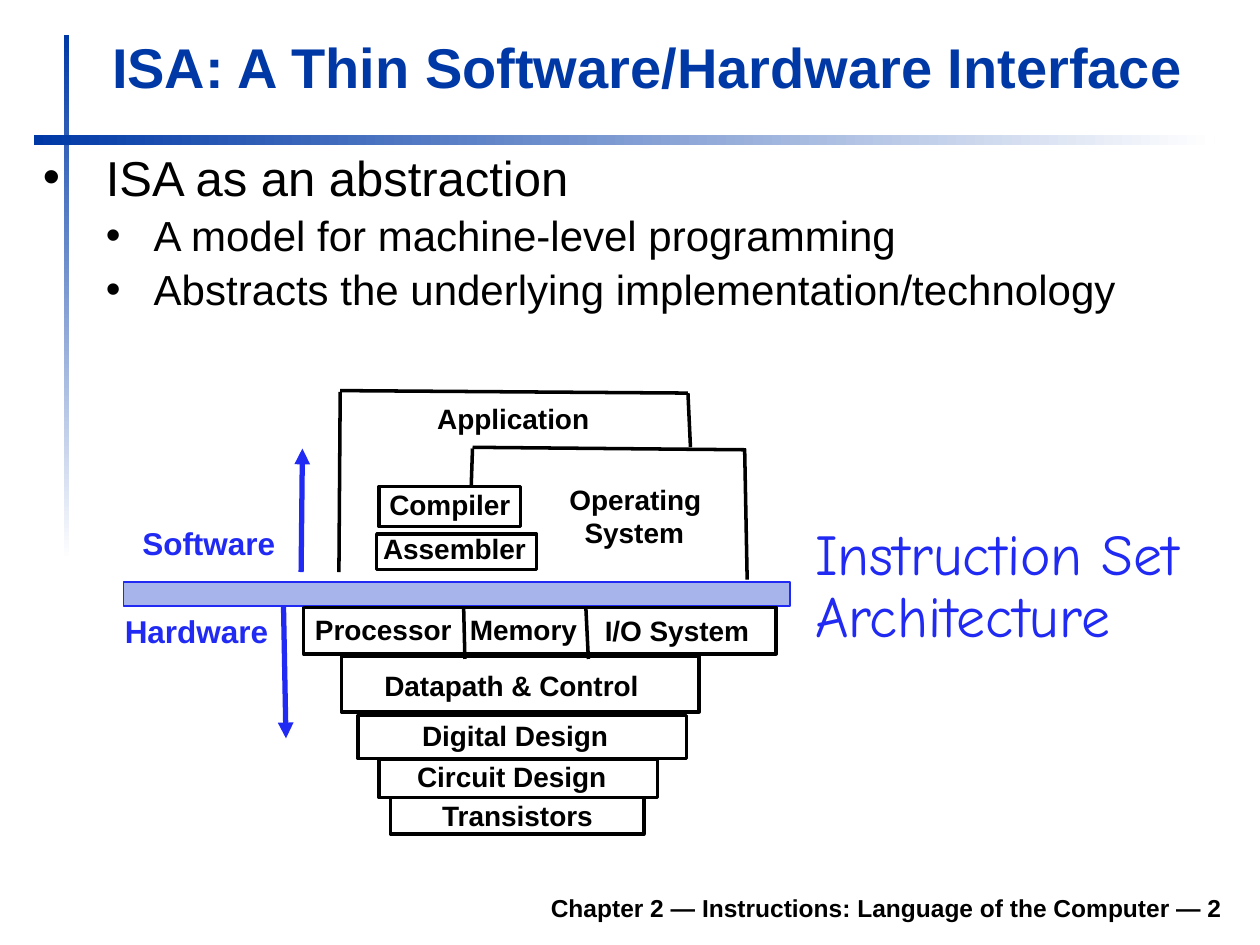
from lxml import etree
from pptx import Presentation
from pptx.dml.color import RGBColor
from pptx.enum.shapes import MSO_CONNECTOR, MSO_SHAPE
from pptx.enum.text import MSO_ANCHOR, MSO_AUTO_SIZE, PP_ALIGN
from pptx.oxml.ns import qn
from pptx.util import Inches, Pt

RECTANGLE = MSO_SHAPE.RECTANGLE
STRAIGHT = MSO_CONNECTOR.STRAIGHT
MIDDLE, TOP, BOTTOM = MSO_ANCHOR.MIDDLE, MSO_ANCHOR.TOP, MSO_ANCHOR.BOTTOM
LEFT, RIGHT = PP_ALIGN.LEFT, PP_ALIGN.RIGHT
NO_AUTOFIT = MSO_AUTO_SIZE.NONE
NAVY, BLUE, PALE_BLUE, BLACK, WHITE = "0039A6", "202AF3", "A7B4EC", "000000", "FFFFFF"


def color(value):
    return RGBColor.from_string(value)


def write_text(shape, text, size=16, font="Arial", fill=BLACK, bold=True, align=LEFT,
               anchor=TOP, wrap=False, margins=(0, 0, 0, 0), spacing=1.0):
    frame = shape.text_frame
    frame.auto_size = NO_AUTOFIT
    frame.word_wrap = wrap
    frame.vertical_anchor = anchor
    frame.margin_left, frame.margin_top, frame.margin_right, frame.margin_bottom = map(Inches, margins)
    frame.text = text
    for paragraph in frame.paragraphs:
        paragraph.alignment = align
        paragraph.line_spacing = spacing
        paragraph.space_before = Pt(0)
        for run in paragraph.runs:
            run.font.name = font
            run.font.size = Pt(size)
            run.font.bold = bold
            run.font.color.rgb = color(fill)


presentation = Presentation()
presentation.slide_width, presentation.slide_height = Inches(10), Inches(7.5)
slide = presentation.slides.add_slide(presentation.slide_layouts[1])
shapes = slide.shapes

for box, angle in [((0.51, 0.28, 0.04, 4.17), 270), ((0.27, 1.07, 9.37, 0.08), 0)]:
    bar = shapes.add_shape(RECTANGLE, *map(Inches, box))
    bar.shadow.inherit = False
    bar.line.fill.background()
    bar.fill.gradient()
    bar.fill.gradient_angle = angle
    for stop, value in zip(bar.fill.gradient_stops, (NAVY, WHITE)):
        stop.color.rgb = color(value)

title = shapes.title
title.left, title.top, title.width, title.height = map(Inches, (0.75, 0.22, 9.2, 0.68))
write_text(title, "ISA: A Thin Software/Hardware Interface", size=32, fill=NAVY, anchor=MIDDLE,
           wrap=True, margins=(0.14, 0.1, 0.16, 0.1), spacing=0.88)

body = slide.placeholders[1]
body.left, body.top, body.width, body.height = map(Inches, (0.24, 1.12, 9.76, 1.38))
write_text(body, "ISA as an abstraction\nA model for machine-level programming\n"
           "Abstracts the underlying implementation/technology", size=24, bold=False,
           wrap=True, margins=(0.1, 0.05, 0.1, 0.05))
for index, paragraph in enumerate(body.text_frame.paragraphs):
    paragraph.level = min(index, 1)
    margin, indent = (0.88, -0.38) if index else (0.5, -0.5)
    properties = paragraph._p.get_or_add_pPr()
    properties.set("marL", str(Inches(margin)))
    properties.set("indent", str(Inches(indent)))
    etree.SubElement(properties, qn("a:buFont"), typeface="Arial")
    etree.SubElement(properties, qn("a:buChar"), char="•")
    if index:
        paragraph.space_before = Pt(2)
    else:
        paragraph.runs[0].font.size = Pt(28)

interface = shapes.add_shape(RECTANGLE, *map(Inches, (0.98, 4.62, 5.29, 0.19)))
interface.shadow.inherit = False
interface.fill.solid()
interface.fill.fore_color.rgb = color(PALE_BLUE)
interface.line.color.rgb = color(BLUE)
interface.line.width = Pt(0.75)

caption = shapes.add_textbox(*map(Inches, (6.47, 4.17, 3.1, 1.06)))
write_text(caption, "Instruction Set Architecture", size=33, font="Comic Neue", fill=BLUE,
           bold=False, wrap=True, spacing=0.9)

hardware = {
    "boxes": [(2.41, 4.82, 3.75, 0.37), (2.71, 5.21, 2.84, 0.44), (2.84, 5.68, 2.61, 0.34),
              (3.01, 6.03, 2.21, 0.3), (3.1, 6.33, 2.01, 0.29)],
    "lines": [(3.68, 4.83, 3.69, 5.23), (4.65, 4.83, 4.67, 5.23)],
    "arrow": (2.25, 4.81, 2.27, 5.86),
    "heading": ("Hardware", 0.99, 4.86, 1.15),
    "labels": [("Processor", 2.5, 4.86, 1.1), ("Memory", 3.73, 4.86, 0.86),
               ("I/O System", 4.8, 4.87, 1.16), ("Datapath & Control", 3.05, 5.31, 2.11),
               ("Digital Design", 3.35, 5.7, 1.5), ("Circuit Design", 3.31, 6.03, 1.52),
               ("Transistors", 3.51, 6.34, 1.32)],
}
software = {
    "boxes": [(3.01, 3.86, 1.12, 0.32), (2.99, 4.24, 1.27, 0.28)],
    "lines": [(2.69, 4.54, 2.7, 3.11), (2.7, 3.1, 5.46, 3.12), (5.46, 3.12, 5.48, 3.55),
              (3.74, 3.86, 3.75, 3.56), (3.75, 3.55, 5.92, 3.57), (5.91, 3.56, 5.93, 4.6)],
    "arrow": (2.39, 4.54, 2.4, 3.56),
    "heading": ("Software", 1.13, 4.16, 1.07),
    "labels": [("Application", 3.47, 3.19, 1.22), ("Compiler", 3.09, 3.87, 0.97),
               ("Assembler", 3.04, 4.22, 1.31), ("Operating", 4.52, 3.83, 1.06),
               ("System", 4.64, 4.09, 0.8)],
}

for side in (hardware, software):
    members = shapes.add_group_shape().shapes
    for box in side["boxes"]:
        layer = members.add_shape(RECTANGLE, *map(Inches, box))
        layer.shadow.inherit = False
        layer.fill.background()
        layer.line.color.rgb = color(BLACK)
        layer.line.width = Pt(2)

    for ends in side["lines"] + [side["arrow"]]:
        is_arrow = ends == side["arrow"]
        connector = members.add_connector(STRAIGHT, *map(Inches, ends))
        connector.line.color.rgb = color(BLUE if is_arrow else BLACK)
        connector.line.width = Pt(3 if is_arrow else 2)
        if is_arrow:
            etree.SubElement(connector.line._get_or_add_ln(), qn("a:tailEnd"), type="triangle")
        etree.SubElement(connector._element.spPr, qn("a:effectLst"))

    for label in side["labels"] + [side["heading"]]:
        text, left, top, width = label
        is_heading = label == side["heading"]
        height = 0.3 if is_heading else 0.27
        text_box = members.add_textbox(*map(Inches, (left, top, width, height)))
        write_text(text_box, text, size=18 if is_heading else 16, fill=BLUE if is_heading else BLACK)

footer = shapes.add_textbox(*map(Inches, (1.85, 6.98, 7.95, 0.39)))
write_text(footer, "Chapter 2 — Instructions: Language of the Computer — 2", size=14, align=RIGHT,
           anchor=BOTTOM, wrap=True, margins=(0.1, 0.05, 0.1, 0.05))

presentation.save("out.pptx")
